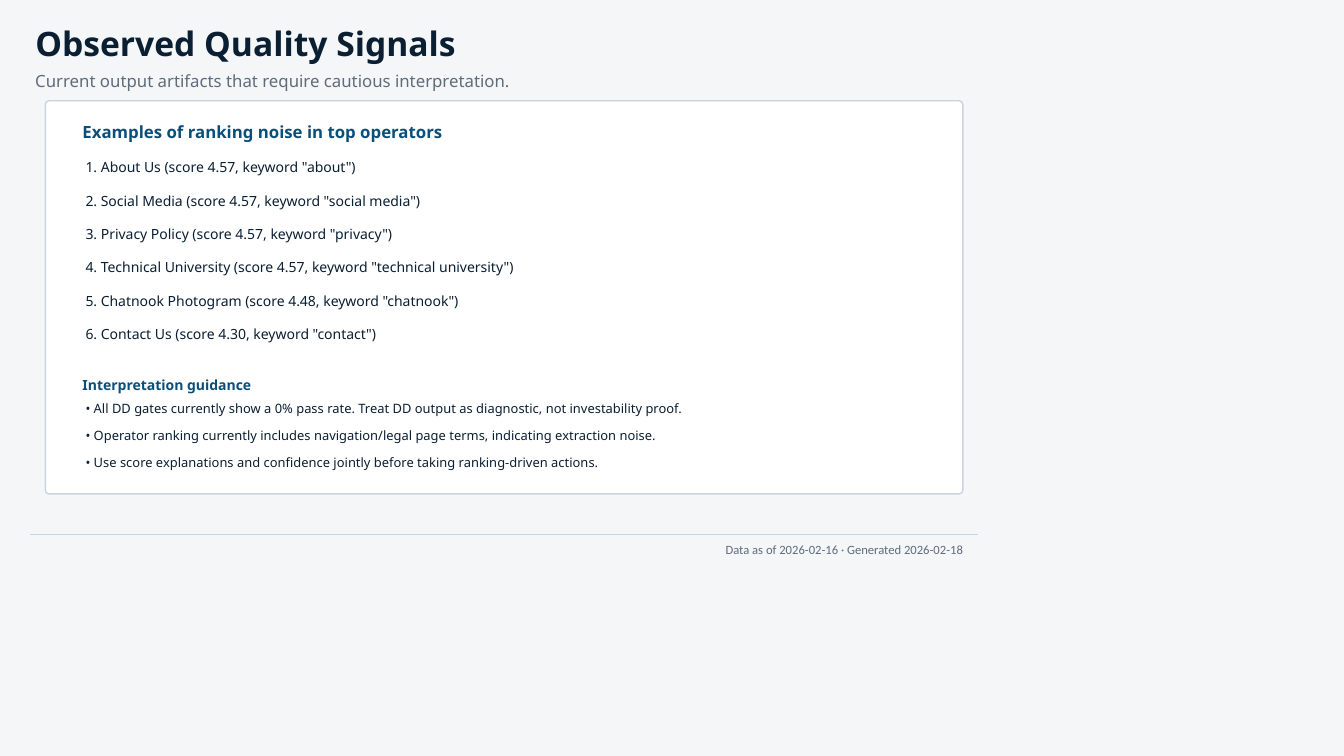
from lxml import etree
from pptx import Presentation
from pptx.dml.color import RGBColor
from pptx.enum.shapes import MSO_CONNECTOR, MSO_SHAPE
from pptx.enum.text import MSO_ANCHOR, MSO_AUTO_SIZE, PP_ALIGN
from pptx.oxml.ns import qn
from pptx.util import Inches, Pt

ROUNDED = MSO_SHAPE.ROUNDED_RECTANGLE
STRAIGHT = MSO_CONNECTOR.STRAIGHT
MIDDLE = MSO_ANCHOR.MIDDLE
NO_AUTOFIT = MSO_AUTO_SIZE.NONE
LEFT, RIGHT = PP_ALIGN.LEFT, PP_ALIGN.RIGHT

PAPER = RGBColor(0xF4, 0xF6, 0xF8)
WHITE = RGBColor(0xFF, 0xFF, 0xFF)
NAVY = RGBColor(0x0B, 0x1F, 0x33)
TEAL = RGBColor(0x0A, 0x4F, 0x7A)
SLATE = RGBColor(0x5F, 0x6C, 0x7B)
BORDER = RGBColor(0xC9, 0xD4, 0xDF)

CELL = 0.1
PADDING = (1, 0.5)
RANKING_PITCH = 3.3
GUIDANCE_PITCH = 2.7

NOISY_OPERATORS = [
    ("About Us", "4.57", "about"),
    ("Social Media", "4.57", "social media"),
    ("Privacy Policy", "4.57", "privacy"),
    ("Technical University", "4.57", "technical university"),
    ("Chatnook Photogram", "4.48", "chatnook"),
    ("Contact Us", "4.30", "contact"),
]
GUIDANCE = [
    "All DD gates currently show a 0% pass rate. Treat DD output as diagnostic, not investability proof.",
    "Operator ranking currently includes navigation/legal page terms, indicating extraction noise.",
    "Use score explanations and confidence jointly before taking ranking-driven actions.",
]


def grid(*cells):
    return [Inches(round(cell * CELL, 3)) for cell in cells]


def write(frame, text, size=10, color=NAVY, bold=False, font="Noto Sans",
          align=LEFT, padding=PADDING):
    frame.word_wrap = True
    frame.auto_size = NO_AUTOFIT
    frame.vertical_anchor = MIDDLE
    side, edge = grid(*padding)
    frame.margin_left = frame.margin_right = side
    frame.margin_top = frame.margin_bottom = edge
    paragraph = frame.paragraphs[0]
    paragraph.alignment = align
    run = paragraph.add_run()
    run.text = text
    run.font.name = font
    run.font.size = Pt(size)
    run.font.bold = bold
    run.font.color.rgb = color


class SignalSlide:
    """Places styled elements on a slide, measured in grid columns and rows."""

    def __init__(self, deck):
        self.slide = deck.slides.add_slide(deck.slide_layouts[5])
        self.shapes = self.slide.shapes
        backdrop = self.slide.background.fill
        backdrop.solid()
        backdrop.fore_color.rgb = PAPER

    def title(self, text, column, row, columns, rows, **style):
        heading = self.shapes.title
        heading.left, heading.top, heading.width, heading.height = grid(
            column, row, columns, rows)
        write(heading.text_frame, text, **style)

    def text(self, text, column, row, columns, rows, **style):
        box = self.shapes.add_textbox(*grid(column, row, columns, rows))
        write(box.text_frame, text, **style)

    def lines(self, texts, row, pitch, **style):
        for index, text in enumerate(texts):
            self.text(text, 7.5, row + index * pitch, 85, 2.2, **style)

    def card(self, column, row, columns, rows):
        panel = self.shapes.add_shape(ROUNDED, *grid(column, row, columns, rows))
        panel.adjustments[0] = 0.01
        panel.shadow.inherit = False
        panel.fill.solid()
        panel.fill.fore_color.rgb = WHITE
        panel.line.color.rgb = BORDER
        panel.line.width = Pt(1)

    def rule(self, start, end, row):
        divider = self.shapes.add_connector(STRAIGHT, *grid(start, row, end, row))
        divider.line.color.rgb = BORDER
        divider.line.width = Pt(1)
        etree.SubElement(divider._element.spPr, qn("a:effectLst"))


def main():
    deck = Presentation()
    deck.slide_width, deck.slide_height = Inches(13.33), Inches(7.5)
    signals = SignalSlide(deck)

    signals.title("Observed Quality Signals", 3.5, 2, 88, 4.5,
                  size=24, bold=True, padding=(0, 0))
    signals.text("Current output artifacts that require cautious interpretation.",
                 3.5, 6.6, 88, 2.8, size=12, color=SLATE, padding=(0, 0))

    signals.card(4.5, 10, 91, 39)
    signals.text("Examples of ranking noise in top operators", 7.2, 12, 45, 2.2,
                 size=12, color=TEAL, bold=True)
    ranking = [f'{rank}. {name} (score {score}, keyword "{keyword}")'
               for rank, (name, score, keyword) in enumerate(NOISY_OPERATORS, 1)]
    signals.lines(ranking, 15.5, RANKING_PITCH)

    signals.text("Interpretation guidance", 7.2, 37.2, 30, 2, color=TEAL, bold=True)
    signals.lines([f"• {advice}" for advice in GUIDANCE], 39.4, GUIDANCE_PITCH, size=9.2)

    signals.rule(3, 97, 53)
    signals.text("Data as of 2026-02-16 · Generated 2026-02-18", 3.5, 53.5, 92, 2,
                 size=9, color=SLATE, font="Calibri", align=RIGHT, padding=(0, 0))
    deck.save("out.pptx")


if __name__ == "__main__":
    main()
